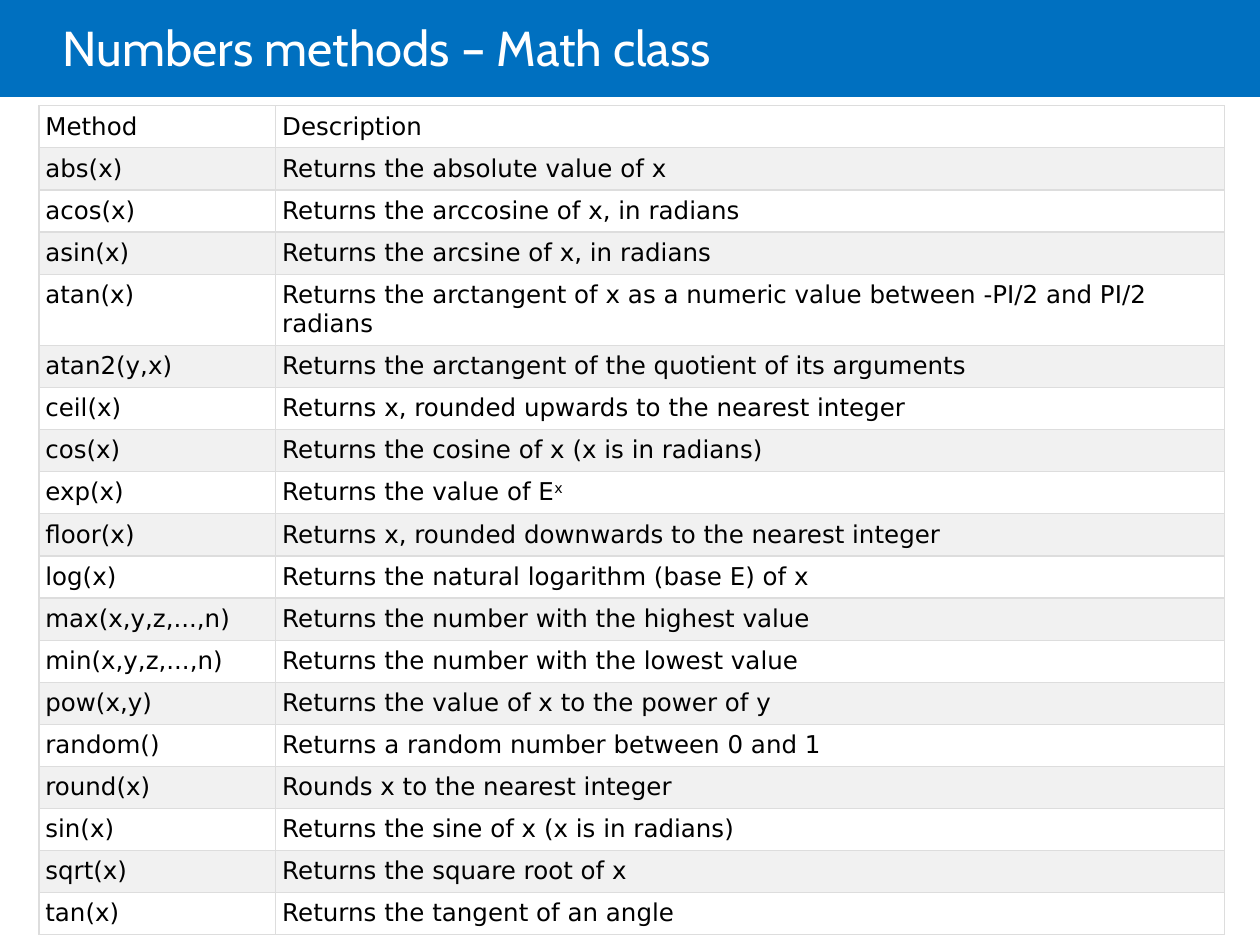
from lxml.etree import SubElement
from pptx import Presentation
from pptx.dml.color import RGBColor
from pptx.enum.shapes import MSO_SHAPE as Shape
from pptx.enum.text import MSO_ANCHOR as Anchor
from pptx.oxml.ns import qn
from pptx.util import Inches, Pt

COLORS = {"banner": "0070C0", "title": "FFFFFF", "text": "000000",
          "plain": "FFFFFF", "band": "F1F1F1", "border": "DDDDDD"}
TITLE_FONT, BODY_FONT = "Cabin", "DejaVu Sans"

METHODS = [
    ("Method", "Description"),
    ("abs(x)", "Returns the absolute value of x"),
    ("acos(x)", "Returns the arccosine of x, in radians"),
    ("asin(x)", "Returns the arcsine of x, in radians"),
    ("atan(x)", "Returns the arctangent of x as a numeric value between -PI/2 and PI/2 radians"),
    ("atan2(y,x)", "Returns the arctangent of the quotient of its arguments"),
    ("ceil(x)", "Returns x, rounded upwards to the nearest integer"),
    ("cos(x)", "Returns the cosine of x (x is in radians)"),
    ("exp(x)", "Returns the value of E^x"),
    ("floor(x)", "Returns x, rounded downwards to the nearest integer"),
    ("log(x)", "Returns the natural logarithm (base E) of x"),
    ("max(x,y,z,...,n)", "Returns the number with the highest value"),
    ("min(x,y,z,...,n)", "Returns the number with the lowest value"),
    ("pow(x,y)", "Returns the value of x to the power of y"),
    ("random()", "Returns a random number between 0 and 1"),
    ("round(x)", "Rounds x to the nearest integer"),
    ("sin(x)", "Returns the sine of x (x is in radians)"),
    ("sqrt(x)", "Returns the square root of x"),
    ("tan(x)", "Returns the tangent of an angle"),
]


def write(paragraph, text, font=BODY_FONT, size=14, color="text", spacing=None):
    if spacing:
        paragraph.line_spacing = spacing
    base, _, power = text.partition("^")
    for part, raised in ((base, False), (power, True)):
        if part:
            run = paragraph.add_run()
            run.text = part
            run.font.name, run.font.size = font, Pt(size)
            run.font.color.rgb = RGBColor.from_string(COLORS[color])
            if raised:
                run.font._element.set("baseline", "30000")


class SlideBuilder:
    """Hold the style and the current slide and add elements to it."""

    def __init__(self, slide, inset=0.05, border=0.75):
        self.shapes = slide.shapes
        self.inset = Inches(inset)
        self.border = Pt(border)

    def banner(self, width, height):
        banner = self.shapes.add_shape(Shape.RECTANGLE, 0, 0, Inches(width), Inches(height))
        banner.shadow.inherit = False
        banner.fill.solid()
        banner.fill.fore_color.rgb = RGBColor.from_string(COLORS["banner"])
        banner.line.fill.background()

    def title(self, text, left, top, width, height):
        box = self.shapes.add_textbox(*map(Inches, (left, top, width, height)))
        frame = box.text_frame
        frame.word_wrap = True
        frame.vertical_anchor = Anchor.MIDDLE
        frame.margin_left = 0
        write(frame.paragraphs[0], text, font=TITLE_FONT, size=28, color="title", spacing=0.85)

    def table(self, records, left, top, widths, heights):
        table = self.shapes.add_table(len(records), len(widths), Inches(left), Inches(top),
                                      Inches(sum(widths)), Inches(sum(heights))).table
        table.first_row = table.horz_banding = False
        for column, width in zip(table.columns, widths):
            column.width = Inches(width)
        for index, (row, height, record) in enumerate(zip(table.rows, heights, records)):
            row.height = Inches(height)
            for cell, text in zip(row.cells, record):
                self.cell(cell, text, "band" if index % 2 else "plain")

    def cell(self, cell, text, fill):
        cell.margin_left = cell.margin_right = self.inset
        cell.margin_top = cell.margin_bottom = self.inset
        write(cell.text_frame.paragraphs[0], text)
        properties = cell._tc.get_or_add_tcPr()
        for side in ("a:lnL", "a:lnR", "a:lnT", "a:lnB"):
            line = SubElement(properties, qn(side), w=str(self.border))
            SubElement(SubElement(line, qn("a:solidFill")), qn("a:srgbClr"), val=COLORS["border"])
        cell.fill.solid()
        cell.fill.fore_color.rgb = RGBColor.from_string(COLORS[fill])


def main():
    deck = Presentation()
    deck.slide_width, deck.slide_height = Inches(10), Inches(7.5)
    builder = SlideBuilder(deck.slides.add_slide(deck.slide_layouts[6]))
    builder.banner(10, 0.77)
    builder.title("Numbers methods – Math class", 0.5, 0, 8.5, 0.81)
    table_height, wrapped_height = 6.52, 0.56
    row_height = (table_height - wrapped_height) / (len(METHODS) - 1)
    heights = [wrapped_height if method == "atan(x)" else row_height for method, _ in METHODS]
    builder.table(METHODS, 0.31, 0.84, (1.88, 7.53), heights)
    deck.save("out.pptx")


if __name__ == "__main__":
    main()
